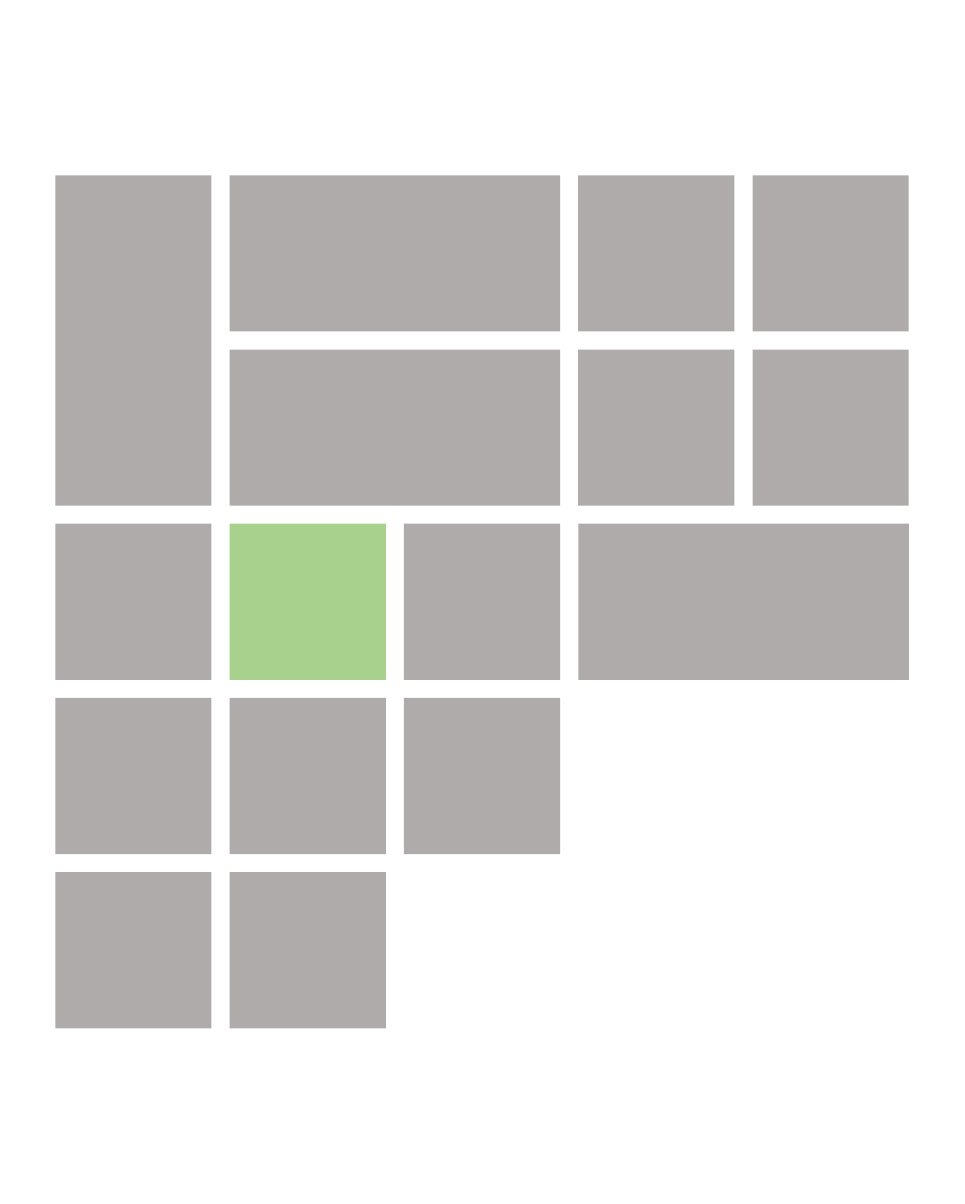
from dataclasses import dataclass

from pptx import Presentation
from pptx.dml.color import RGBColor
from pptx.enum.shapes import MSO_SHAPE
from pptx.util import Pt

RECTANGLE = MSO_SHAPE.RECTANGLE
BLANK_LAYOUT = 6
SLIDE_WIDTH, SLIDE_HEIGHT = 400.32, 499.68
GRID_LEFT, GRID_TOP = 23, 72.8
TILE_SIZE, TILE_GAP = 64.8, 7.5
TILE_PITCH = TILE_SIZE + TILE_GAP


@dataclass(frozen=True)
class Theme:
    """Colours of the tile grid."""

    tile: RGBColor = RGBColor(0xAF, 0xAB, 0xAB)
    highlight: RGBColor = RGBColor(0xA9, 0xD1, 0x8E)


THEME = Theme()

WIDE_TILES = [(1, 0), (1, 1), (3, 2)]
TALL_TILES = [(0, 0)]
SQUARE_TILES = [
    (3, 0), (4, 0),
    (3, 1), (4, 1),
    (0, 2), (2, 2),
    (0, 3), (1, 3), (2, 3),
    (0, 4), (1, 4),
]
HIGHLIGHT_TILE = (1, 2)


def span_length(cells):
    """Return the length of a tile that covers a number of grid cells."""
    return cells * TILE_PITCH - TILE_GAP


def add_tile(slide, cell, columns=1, rows=1, color=THEME.tile):
    """Add a plain tile whose top left corner lies in the given grid cell."""
    column, row = cell
    shape = slide.shapes.add_shape(
        RECTANGLE,
        Pt(GRID_LEFT + column * TILE_PITCH),
        Pt(GRID_TOP + row * TILE_PITCH),
        Pt(span_length(columns)),
        Pt(span_length(rows)),
    )
    shape.shadow.inherit = False
    shape.fill.solid()
    shape.fill.fore_color.rgb = color
    shape.line.fill.background()


def main():
    """Build the slide with its grid of tiles and save it."""
    presentation = Presentation()
    presentation.slide_width = Pt(SLIDE_WIDTH)
    presentation.slide_height = Pt(SLIDE_HEIGHT)
    slide = presentation.slides.add_slide(presentation.slide_layouts[BLANK_LAYOUT])
    for cell in WIDE_TILES:
        add_tile(slide, cell, columns=2)
    for cell in TALL_TILES:
        add_tile(slide, cell, rows=2)
    for cell in SQUARE_TILES:
        add_tile(slide, cell)
    add_tile(slide, HIGHLIGHT_TILE, color=THEME.highlight)
    presentation.save("out.pptx")


if __name__ == "__main__":
    main()
